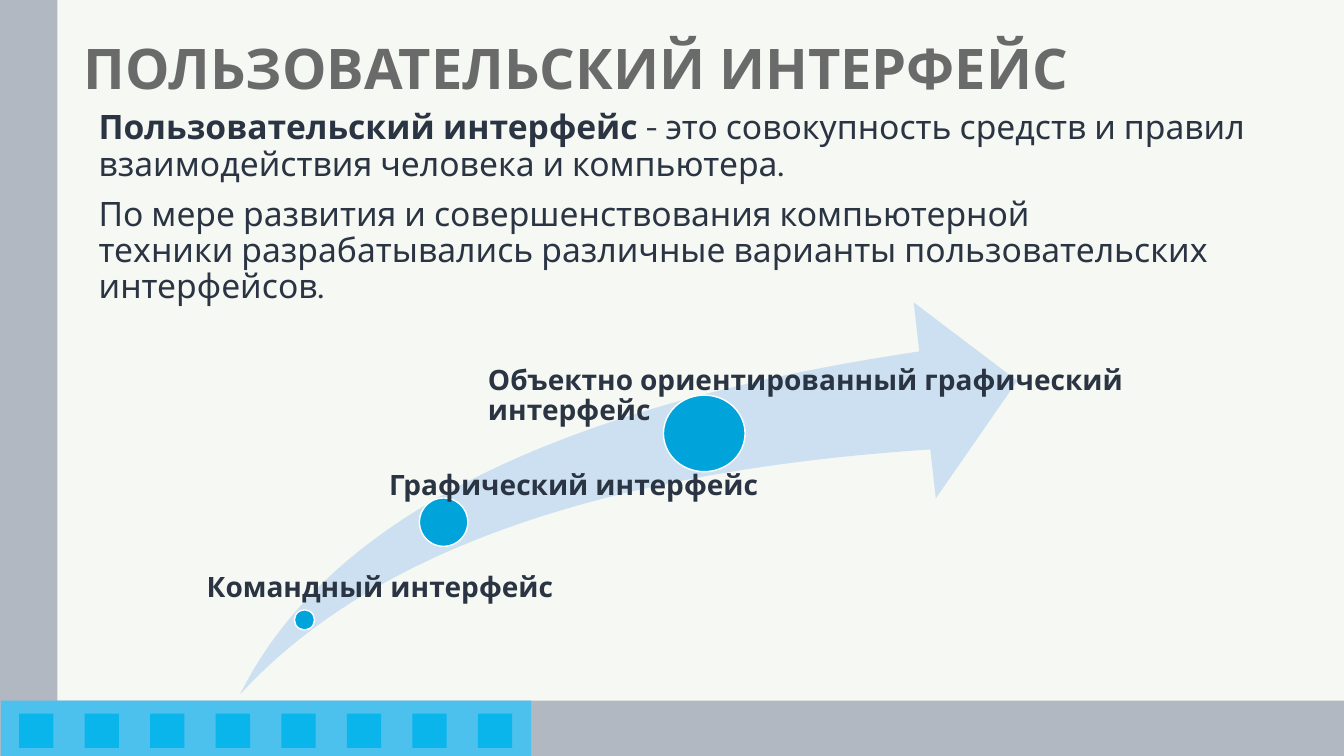
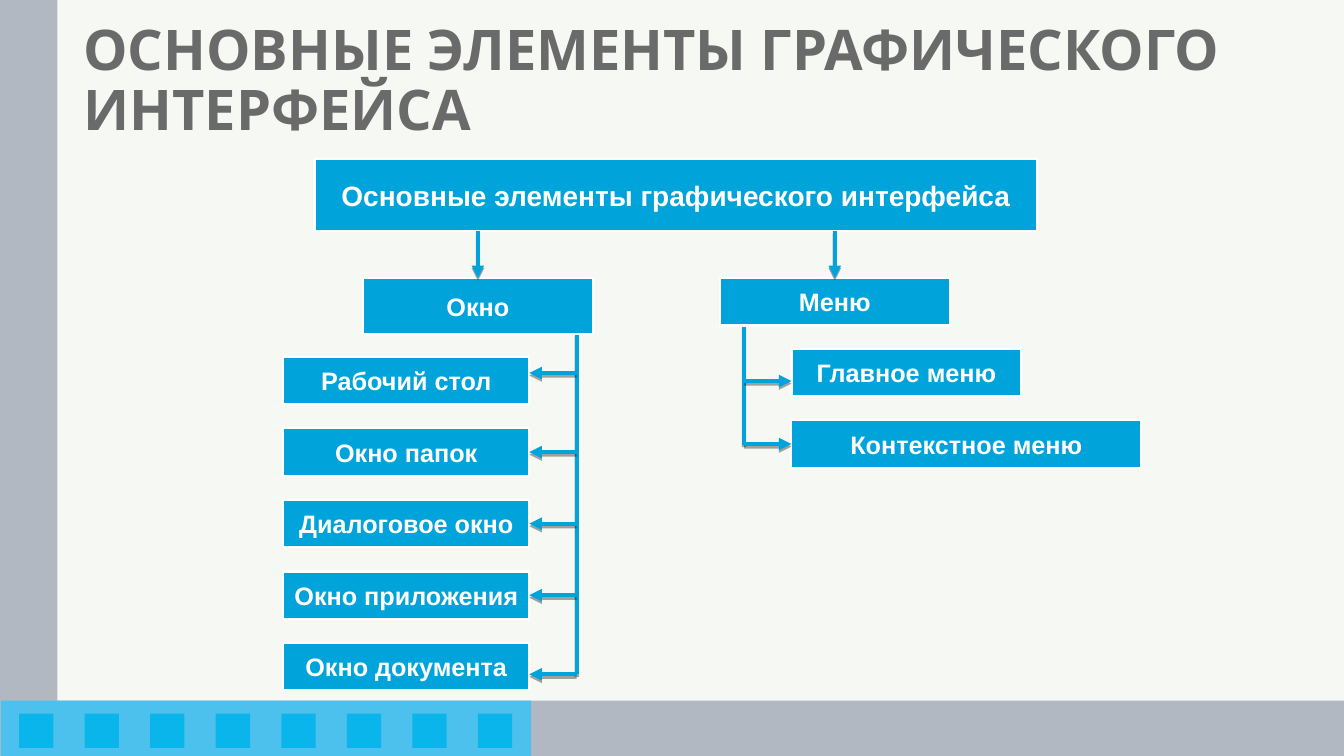
from lxml import etree
from pptx import Presentation
from pptx.dml.color import RGBColor
from pptx.enum.shapes import MSO_CONNECTOR, MSO_SHAPE
from pptx.enum.text import MSO_ANCHOR, PP_ALIGN
from pptx.oxml.ns import qn
from pptx.util import Inches, Pt

RECT, OVAL, SWOOSH = MSO_SHAPE.RECTANGLE, MSO_SHAPE.OVAL, MSO_SHAPE.SWOOSH_ARROW
STRAIGHT = MSO_CONNECTOR.STRAIGHT
TOP, MIDDLE = MSO_ANCHOR.TOP, MSO_ANCHOR.MIDDLE
LEFT, CENTER = PP_ALIGN.LEFT, PP_ALIGN.CENTER

PAPER, GREY, SKY, TILE = "F6F8F3", "B2B8C2", "4DC1ED", "0AB5EC"
BLUE, PALE, WHITE, INK, HEAD = "00A3DA", "CCE0F1", "FFFFFF", "2A3442", "6A6A6A"
WIDE, HIGH, BAND, FOOT = 13.33, 7.5, 0.57, 6.95

INTRO = [
    ("Пользовательский интерфейс",
     " - это совокупность средств и правил взаимодействия человека и компьютера."),
    ("По мере развития и совершенствования компьютерной\v"
     "техники разрабатывались различные варианты пользовательских интерфейсов.", ""),
]
STAGES = [
    ("Командный интерфейс", (2.92, 6.05, 0.2, 0.2), (1.94, 5.69, 3.95, 1.39), 0.11),
    ("Графический интерфейс", (4.16, 4.94, 0.48, 0.48), (3.67, 4.68, 4.24, 0.58), 0.19),
    ("Объектно ориентированный графический интерфейс",
     (6.58, 3.92, 0.81, 0.76), (4.57, 3.63, 6.83, 0.91), 0.27),
]
ROOT = ("Основные элементы графического интерфейса", (3.12, 1.58, 7.17, 0.71))
TREE = [
    {"name": "Окно", "at": (3.6, 2.76, 2.28, 0.55), "trunk": 5.72,
     "left": 2.81, "top": 3.54, "side": 3,
     "items": [("Рабочий стол", 2.44, 3.7), ("Окно папок", 2.44, 4.49),
               ("Диалоговое окно", 2.44, 5.2), ("Окно приложения", 2.44, 5.91),
               ("Окно документа", 2.44, 6.69)]},
    {"name": "Меню", "at": (7.14, 2.76, 2.28, 0.47), "trunk": 7.38,
     "left": 7.85, "top": 3.46, "side": 1,
     "items": [("Главное меню", 2.28, 3.78), ("Контекстное меню", 3.47, 4.41)]},
]
ROW, STEP, NEAR = 0.47, 0.71, 0.03


def rgb(code):
    """Turn a hex string into a colour."""
    return RGBColor.from_string(code)


def style(para, size, color, bold, font="Karla", space=0.9, align=LEFT):
    """Format a paragraph and all its runs."""
    para.line_spacing, para.alignment = space, align
    for run in para.runs:
        run.font.name, run.font.size, run.font.bold = font, Pt(size), bold
        run.font.color.rgb = rgb(color)


def shape(slide, kind, at, fill, line=None, width=1):
    """Add a flat preset shape."""
    item = slide.shapes.add_shape(kind, *map(Inches, at))
    item.shadow.inherit = False
    item.fill.solid()
    item.fill.fore_color.rgb = rgb(fill)
    if line:
        item.line.color.rgb, item.line.width = rgb(line), Pt(width)
    else:
        item.line.fill.background()
    return item


def text(slide, at, anchor=TOP):
    """Add a wrapping text box and return its frame."""
    frame = slide.shapes.add_textbox(*map(Inches, at)).text_frame
    frame.word_wrap, frame.vertical_anchor = True, anchor
    return frame


def box(slide, label, at, size=18):
    """Add a labelled box of the diagram."""
    item = shape(slide, RECT, at, BLUE, WHITE, 1.5)
    frame = item.text_frame
    frame.text, frame.word_wrap, frame.vertical_anchor = label, False, MIDDLE
    style(frame.paragraphs[0], size, WHITE, True, "Arial", 1, CENTER)
    return item


def link(slide, start, end, arrow=True):
    """Add a blue line with a soft shadow, with or without an arrowhead."""
    item = slide.shapes.add_connector(STRAIGHT, *map(Inches, start + end))
    item.line.color.rgb, item.line.width = rgb(BLUE), Pt(3)
    if arrow:
        etree.SubElement(item.line._get_or_add_ln(), qn("a:tailEnd"), type="triangle")
    props = item._element.spPr
    effect = etree.SubElement(props, qn("a:effectLst"))
    shade = etree.SubElement(effect, qn("a:outerShdw"), blurRad="0",
                             dist=str(Pt(1.8)), dir="5400000", rotWithShape="0")
    tint = etree.SubElement(shade, qn("a:srgbClr"), val="000000")
    etree.SubElement(tint, qn("a:alpha"), val="35000")
    return item


def page(deck, title, top, space):
    """Add a slide with its bands, tiles and title."""
    slide = deck.slides.add_slide(deck.slide_layouts[6])
    shape(slide, RECT, (0, 0, BAND, HIGH), GREY)
    shape(slide, RECT, (0, FOOT, WIDE, HIGH - FOOT), GREY)
    shape(slide, RECT, (0.01, FOOT, 5.26, HIGH - FOOT), SKY)
    for i in range(8):
        shape(slide, RECT, (0.19 + 0.65 * i, 7.08, 0.34, 0.34), TILE)
    frame = text(slide, (0.73, top, 11.88, 1.45), MIDDLE)
    frame.text = title
    style(frame.paragraphs[0], 40, HEAD, True, space=space)
    return slide


def stages(deck):
    """Build the slide on the growth of interfaces."""
    slide = page(deck, "ПОЛЬЗОВАТЕЛЬСКИЙ ИНТЕРФЕЙС", 0, 0.8)
    frame = text(slide, (0.88, 1.05, 11.88, 2.45))
    for i, (lead, rest) in enumerate(INTRO):
        para = frame.add_paragraph() if i else frame.paragraphs[0]
        para.text = lead
        if rest:
            para.add_run().text = rest
        style(para, 24, INK, False)
        para.runs[0].font.bold = bool(rest)
        if i:
            para.space_before = Pt(10)
    swoosh = shape(slide, SWOOSH, (2.38, 3, 7.71, 3.89), PALE)
    swoosh.adjustments[0] = swoosh.adjustments[1] = 0.25
    for label, dot, area, inset in STAGES:
        shape(slide, OVAL, dot, BLUE, WHITE)
        frame = text(slide, area)
        frame.margin_left = Inches(inset)
        frame.margin_top = frame.margin_right = frame.margin_bottom = 0
        frame.text = label
        style(frame.paragraphs[0], 20, INK, True)


def tree(deck):
    """Build the slide with the tree of interface parts."""
    slide = page(deck, "ОСНОВНЫЕ ЭЛЕМЕНТЫ ГРАФИЧЕСКОГО ИНТЕРФЕЙСА", 0.09, 0.9)
    label, (left, top, width, height) = ROOT
    box(slide, label, (left, top, width, height), 20)
    base = top + height
    for branch in TREE:
        left, top, width, height = branch["at"]
        trunk, items, side = branch["trunk"], branch["items"], branch["side"]
        link(slide, (trunk, top + height), (trunk, items[-1][2]), False)
        node = box(slide, branch["name"], branch["at"])
        mid = left + width / 2
        link(slide, (mid, base), (mid, top)).end_connect(node, 0)
        for i, (label, width, level) in enumerate(items):
            left, top = branch["left"], branch["top"] + STEP * i
            leaf = box(slide, label, (left, top, width, ROW))
            edge = left + width if side == 3 else left
            mid = top + ROW / 2
            joint = abs(level - mid) < NEAR
            if joint:
                level = mid
            arrow = link(slide, (trunk, level), (edge, level))
            if joint:
                arrow.end_connect(leaf, side)


def main():
    """Build and save the deck."""
    deck = Presentation()
    deck.slide_width, deck.slide_height = Inches(WIDE), Inches(HIGH)
    fill = deck.slide_master.background.fill
    fill.solid()
    fill.fore_color.rgb = rgb(PAPER)
    stages(deck)
    tree(deck)
    deck.save("out.pptx")


if __name__ == "__main__":
    main()
